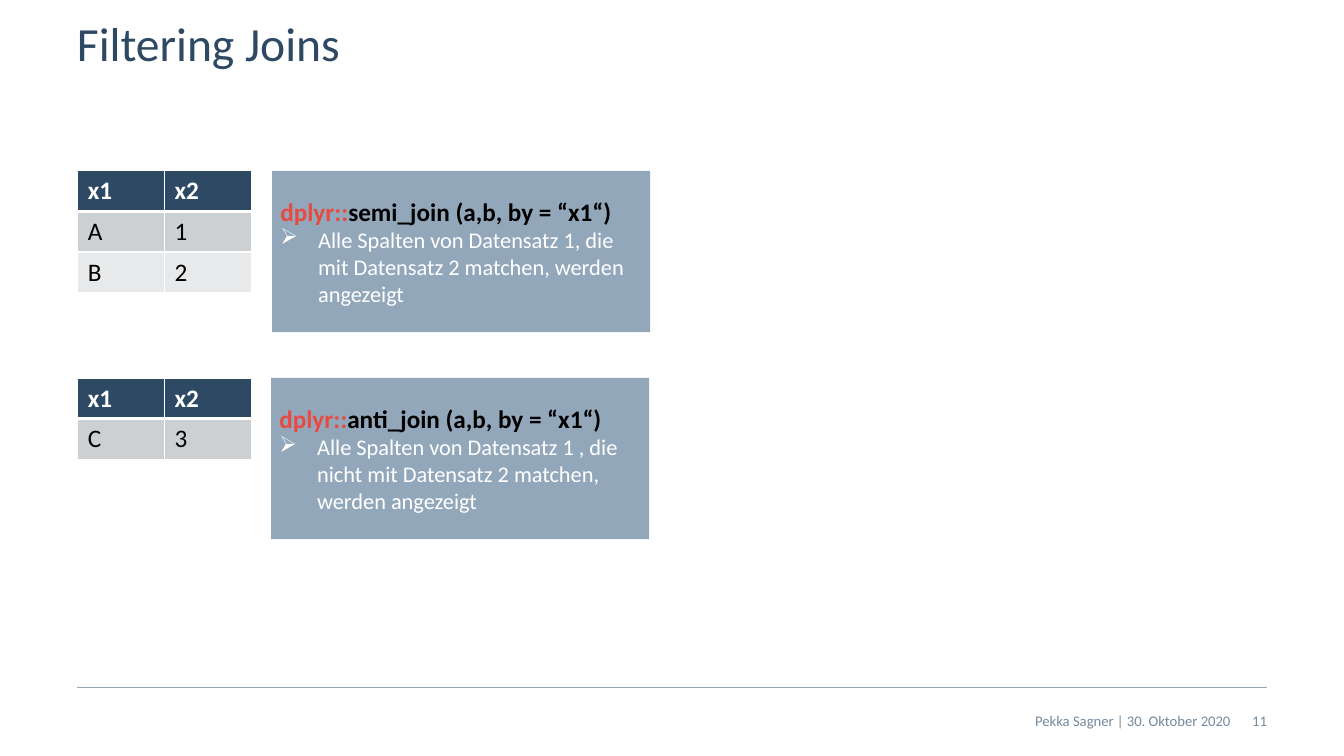
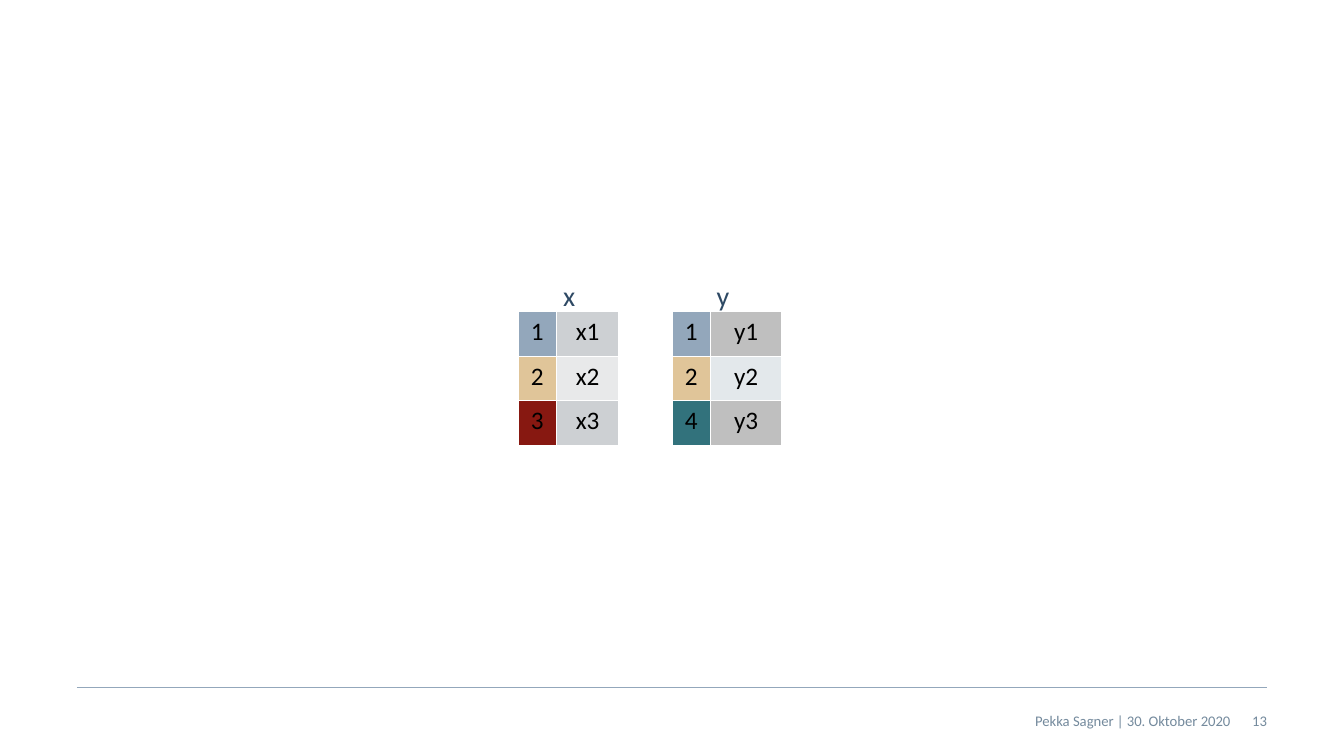
"""Build two slides on filtering joins with python-pptx."""
from dataclasses import dataclass

from lxml.etree import SubElement as Sub
from pptx import Presentation as Deck
from pptx.dml.color import RGBColor as Color
from pptx.enum.shapes import MSO_CONNECTOR as Link, MSO_SHAPE as Form
from pptx.enum.text import MSO_ANCHOR as Anchor, MSO_AUTO_SIZE as Auto, PP_ALIGN as Align
from pptx.oxml import parse_xml as read
from pptx.oxml.ns import nsdecls, qn
from pptx.util import Pt


@dataclass(frozen=True)
class Theme:
    font: str = "Calibri"
    navy: str = "2E4964"
    steel: str = "93A7BB"
    slate: str = "748A9D"
    red: str = "E74A40"
    wine: str = "871811"
    sand: str = "E0C599"
    teal: str = "32727C"
    black: str = "000000"
    white: str = "FFFFFF"
    bands: tuple = ("CDD0D3", "E8E9EA")
    greys: tuple = ("BFBFBF", "E3E8EB")
    title: float = 34
    label: float = 20
    body: float = 18
    note: float = 16
    small: float = 10.5


T = Theme()
LEFT, RIGHT = 55, 905


def apply(item, form):
    for key, val in form.items():
        setattr(item, key, val)


class Page:
    def __init__(self, deck, num):
        self.slide = deck.slides.add_slide(deck.slide_layouts[6])
        self.shapes = self.slide.shapes
        self.rule(491)
        for text, right in ((str(num), RIGHT), ("Pekka Sagner | 30. Oktober 2020", 879)):
            self.text(text, right - 440, 500.4, 440, 28.8, T.small, T.slate,
                      {"alignment": Align.RIGHT}, {"vertical_anchor": Anchor.MIDDLE})

    def rule(self, y):
        line = self.shapes.add_connector(Link.STRAIGHT, Pt(LEFT), Pt(y), Pt(RIGHT), Pt(y))
        line.line.color.rgb = Color.from_string(T.steel)
        line.line.width = Pt(1)
        Sub(line._element.spPr, qn("a:effectLst"))

    def run(self, para, text, size, color, bold=False):
        run = para.add_run()
        run.text = text
        apply(run.font, {"name": T.font, "size": Pt(size), "bold": bold})
        run.font.color.rgb = Color.from_string(color)

    def frame(self, shape, pad, form):
        sides = ("left", "top", "right", "bottom")
        edges = {f"margin_{side}": Pt(pad) for side in sides}
        apply(shape.text_frame, {"word_wrap": True, **edges, **form})
        return shape.text_frame

    def text(self, text, x, y, w, h, size, color, para=None, form=None, pad=0):
        box = self.shapes.add_textbox(Pt(x), Pt(y), Pt(w), Pt(h))
        line = self.frame(box, pad, form or {}).paragraphs[0]
        apply(line, para or {})
        self.run(line, text, size, color)

    def title(self, text):
        self.text(text, LEFT, 14.4, RIGHT - LEFT, 45.4, T.title, T.navy,
                  {"line_spacing": 0.9})

    def label(self, text, x, y):
        self.text(text, x, y, 20.5, 36, T.label, T.navy, pad=5.8,
                  form={"word_wrap": False, "auto_size": Auto.SHAPE_TO_FIT_TEXT})

    def card(self, call, note, x, y):
        box = self.shapes.add_shape(Form.RECTANGLE, Pt(x), Pt(y), Pt(270), Pt(115.2))
        box.shadow.inherit = False
        box.fill.solid()
        box.fill.fore_color.rgb = Color.from_string(T.steel)
        box.line.fill.background()
        body = self.frame(box, 5.8, {"vertical_anchor": Anchor.MIDDLE})
        head, item = body.paragraphs[0], body.add_paragraph()
        for para in (head, item):
            para.alignment = Align.LEFT
        self.run(head, "dplyr::", T.body, T.red, True)
        self.run(head, call, T.body, T.black, True)
        self.run(item, note, T.note, T.white)
        props = item._p.get_or_add_pPr()
        props.set("marL", str(Pt(27)))
        props.set("indent", str(Pt(-27)))
        Sub(props, qn("a:buChar"), char="➢")

    def edges(self, cell, widths):
        props = cell._tc.get_or_add_tcPr()
        for spot, (side, width) in enumerate(zip("LRTB", widths)):
            props.insert(spot, read(
                f'<a:ln{side} {nsdecls("a")} w="{Pt(width)}"><a:solidFill>'
                f'<a:srgbClr val="{T.white}"/></a:solidFill></a:ln{side}>'))

    def table(self, rows, fills, x, y, cols, high, head=False, align=Align.LEFT):
        grid = self.shapes.add_table(len(rows), len(cols), Pt(x), Pt(y),
                                     Pt(sum(cols)), Pt(high * len(rows))).table
        apply(grid, {"first_row": head, "horz_banding": False})
        for col, wide in zip(grid.columns, cols):
            col.width = Pt(wide)
        for r, (row, tints) in enumerate(zip(rows, fills)):
            grid.rows[r].height = Pt(high)
            top = head and r == 0
            for c, (text, tint) in enumerate(zip(row, tints)):
                cell = grid.cell(r, c)
                cell.fill.solid()
                cell.fill.fore_color.rgb = Color.from_string(tint)
                self.edges(cell, (1, 1, 3 if head and r == 1 else 1, 3 if top else 1))
                para = cell.text_frame.paragraphs[0]
                para.alignment = align
                self.run(para, text, T.body, T.white if top else T.black, top)

    def data(self, rows, y):
        tints = (T.navy, *T.bands)
        self.table([("x1", "x2"), *rows], [(tint, tint) for tint in tints],
                   LEFT + 0.5, y, (62, 62), 29, head=True)

    def keys(self, name, nums, tints, greys, x, wide, mark):
        rows = [(num, f"{name}{i}") for i, num in enumerate(nums, 1)]
        fills = [(tint, greys[i % 2]) for i, tint in enumerate(tints)]
        self.table(rows, fills, x, 222.5, (27.5, wide), 31.9, align=Align.CENTER)
        self.label(name, mark, 193)


def main():
    deck = Deck()
    apply(deck, {"slide_width": Pt(960), "slide_height": Pt(540)})

    page = Page(deck, 11)
    page.title("Filtering Joins")
    joins = (
        ("semi_join (a,b, by = “x1“)",
         "Alle Spalten von Datensatz 1, die mit Datensatz 2 matchen, werden angezeigt",
         (("A", "1"), ("B", "2")), 194.4, 122),
        ("anti_join (a,b, by = “x1“)",
         "Alle Spalten von Datensatz 1 , die nicht mit Datensatz 2 matchen, werden angezeigt",
         (("C", "3"),), 193.7, 270),
    )
    for call, note, rows, x, y in joins:
        page.card(call, note, x, y)
        page.data(rows, y)

    page = Page(deck, 13)
    page.keys("x", "123", (T.steel, T.sand, T.wine), T.bands, 370, 44.5, 396.5)
    page.keys("y", "124", (T.steel, T.sand, T.teal), T.greys, 480, 51, 506)

    deck.save("out.pptx")


if __name__ == "__main__":
    main()
